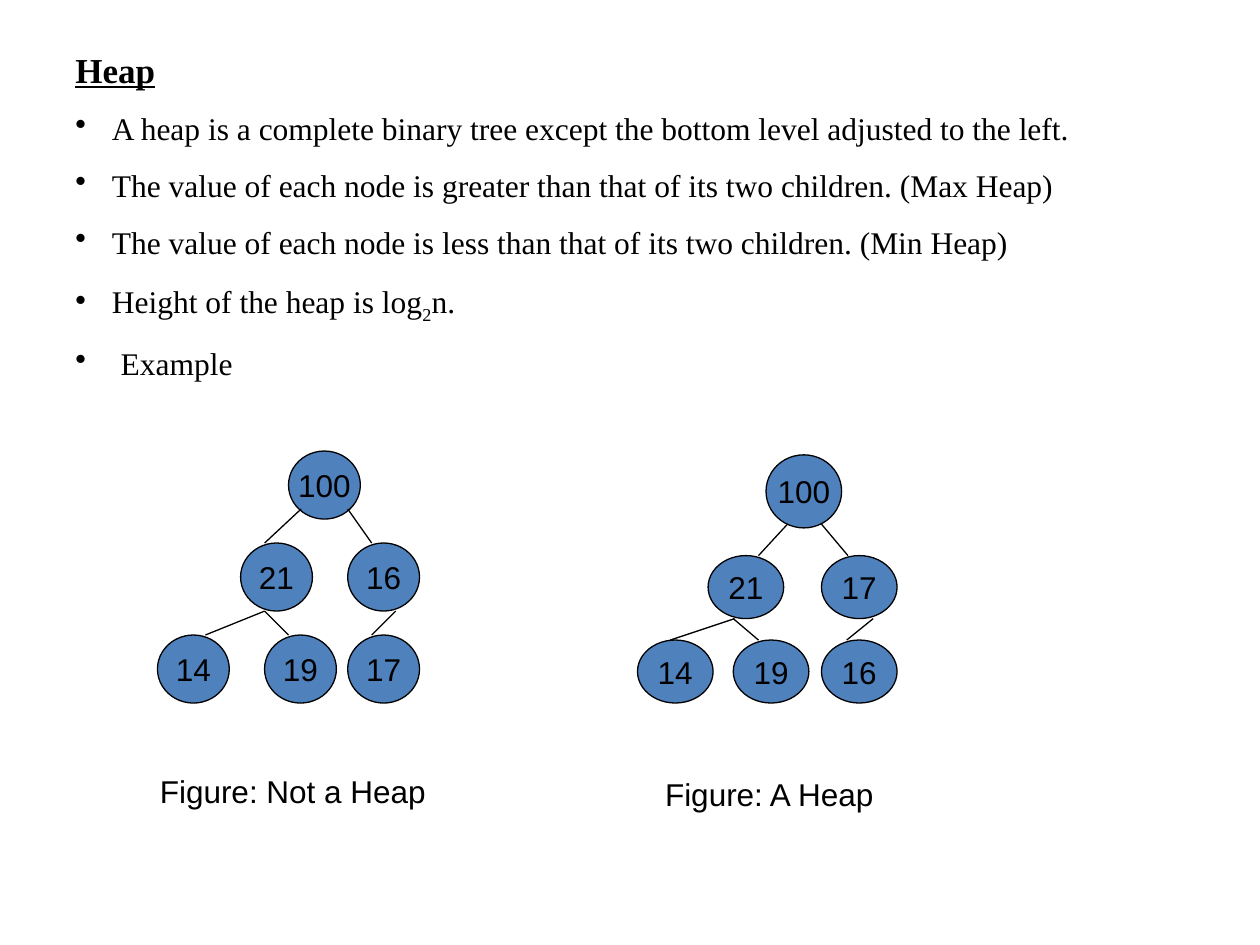
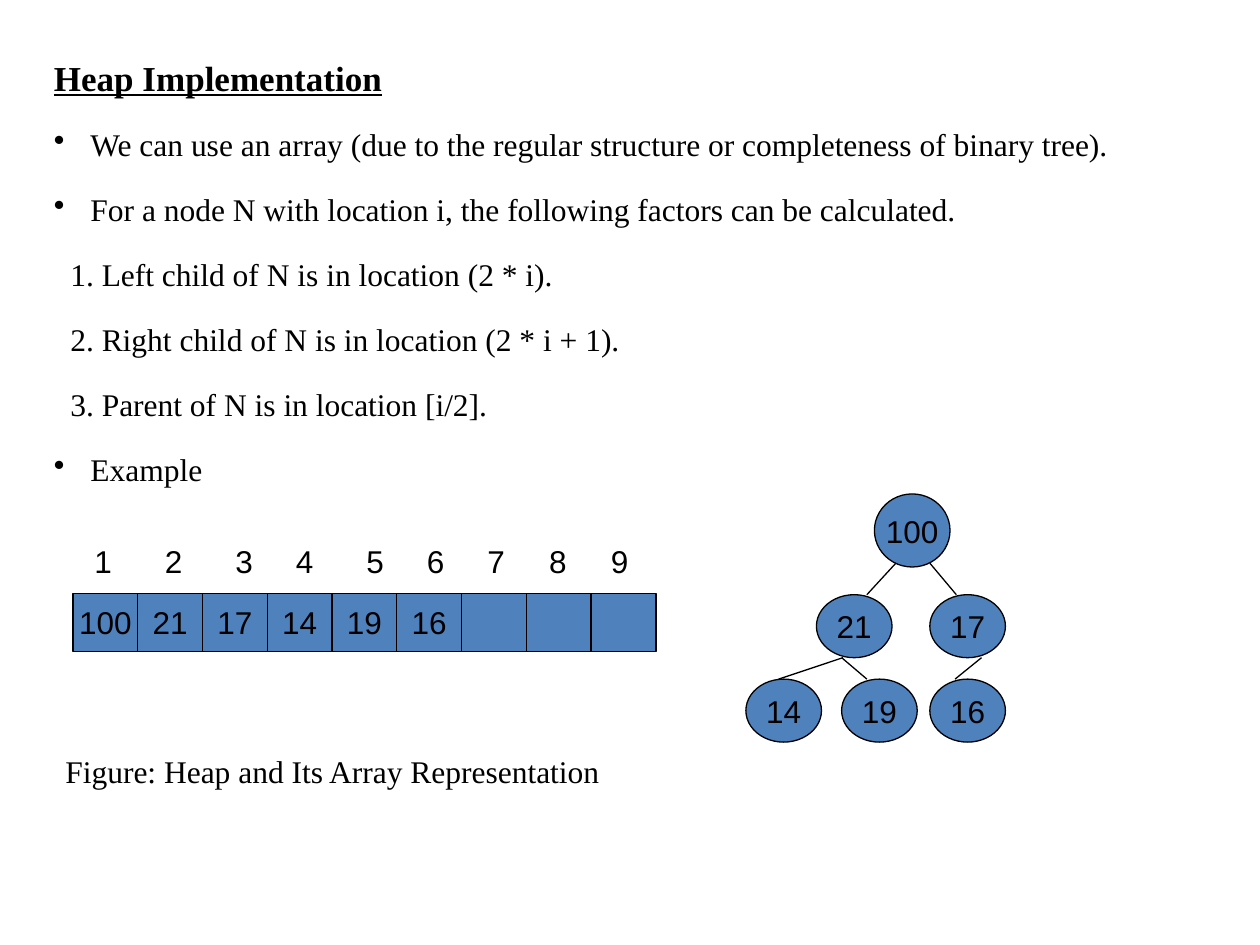
"""Build two slides on heaps: definition with examples, and array implementation."""
import itertools

import pptx
import pptx.dml.color
import pptx.enum.shapes
import pptx.enum.text
import pptx.oxml.ns
import pptx.util
from lxml import etree

BLACK = pptx.dml.color.RGBColor(0x00, 0x00, 0x00)
NODE_BLUE = pptx.dml.color.RGBColor(0x4F, 0x81, 0xBD)
SERIF, SANS = "Times New Roman", "Arial"
WIDTH, HEIGHT = 10, 7.5
OVAL = pptx.enum.shapes.MSO_SHAPE.OVAL
RECTANGLE = pptx.enum.shapes.MSO_SHAPE.RECTANGLE
CENTER = pptx.enum.text.PP_ALIGN.CENTER

HANGING = {"left": 0.29, "bullet": "•"}
HANGING_WIDE = {"left": 0.36, "bullet": "•"}
NUMBERED = {"left": 0.13}

DEFINITION = {
    "title": "Heap", "at": (0.5, 0.17, 9.25, 3.97), "line_spacing": 1.5, "before": 0,
    "points": [
        ("A heap is a complete binary tree except the bottom level adjusted to the left.", HANGING),
        ("The value of each node is greater than that of its two children. (Max Heap)", HANGING),
        ("The value of each node is less than that of its two children. (Min Heap)", HANGING),
        (("Height of the heap is log", "2", "n."), HANGING),
        ("Example", HANGING_WIDE),
    ],
}
IMPLEMENTATION = {
    "title": "Heap Implementation", "at": (0.33, 0.33, 9.67, 4.63), "line_spacing": 1.2, "before": 11.2,
    "points": [
        ("We can use an array (due to the regular structure or completeness of binary tree).", HANGING),
        ("For a node N with location i, the following factors can be calculated.", HANGING),
        ("1. Left child of N is in location (2 * i).", NUMBERED),
        ("2. Right child of N is in location (2 * i + 1).", NUMBERED),
        ("3. Parent of N is in location [i/2].", NUMBERED),
        ("Example", HANGING),
    ],
}

NOT_A_HEAP = [100, 21, 16, 14, 19, 17]
A_HEAP = [100, 21, 17, 14, 19, 16]
ARRAY_SLOTS = 9
ARRAY_AT, SLOT_WIDTH, SLOT_HEIGHT = (0.58, 4.71), 0.514, 0.46
INDEX_GAPS = [0.56, 0.56, 0.48, 0.56, 0.48, 0.48, 0.49, 0.49]

ROUND_TREE = {
    "width": 0.57, "heights": [0.54, 0.54, 0.54], "tops": [0, 0.73, 1.46],
    "lefts": [1.04, 0.66, 1.51, 0, 0.85, 1.51],
    "edges": [(1.14, 0.46, 0.85, 0.73), (1.51, 0.46, 1.70, 0.73), (0.85, 1.27, 1.04, 1.46),
              (1.89, 1.27, 1.70, 1.46), (0.85, 1.27, 0.38, 1.46)],
}
FLAT_TREE = {
    "width": 0.6, "heights": [0.58, 0.5, 0.5], "tops": [0, 0.8, 1.47],
    "lefts": [1.02, 0.56, 1.46, 0, 0.76, 1.46],
    "edges": [(1.19, 0.55, 0.96, 0.8), (1.46, 0.55, 1.67, 0.8), (0.76, 1.3, 0.96, 1.47),
              (1.87, 1.3, 1.66, 1.47), (0.77, 1.3, 0.26, 1.47)],
}

inches = pptx.util.Inches
deck = pptx.Presentation()
deck.slide_width, deck.slide_height = inches(WIDTH), inches(HEIGHT)


def write(paragraph, text, *, font=SANS, size=18, bold=False, underline=False, align=None,
          line_spacing=None, before=0, left=0, bullet=None, tabs=()):
    """Write text into a paragraph; every second piece of a tuple is a subscript."""
    properties = paragraph._p.get_or_add_pPr()
    if left:
        properties.set("marL", str(inches(left)))
        properties.set("indent", str(-inches(left) if bullet else 0))
    if bullet:
        etree.SubElement(properties, pptx.oxml.ns.qn("a:buChar"), char=bullet)
    if tabs:
        stops = etree.SubElement(properties, pptx.oxml.ns.qn("a:tabLst"))
        for stop in tabs:
            etree.SubElement(stops, pptx.oxml.ns.qn("a:tab"), pos=str(inches(stop)), algn="l")
    paragraph.alignment = align
    paragraph.line_spacing = line_spacing
    if before:
        paragraph.space_before = pptx.util.Pt(before)
    for place, piece in enumerate((text,) if isinstance(text, str) else text):
        run = paragraph.add_run()
        run.text = piece
        run.font.name, run.font.size = font, pptx.util.Pt(size)
        run.font.bold, run.font.underline = bold, underline
        run.font.color.rgb = BLACK
        if place % 2:
            run.font._element.set("baseline", "-25000")


def add_text_box(slide, at):
    frame = slide.shapes.add_textbox(*map(inches, at)).text_frame
    frame.word_wrap = True
    return frame


def add_caption(slide, at, text, **style):
    write(add_text_box(slide, at).paragraphs[0], text, **style)


def add_topic(topic):
    slide = deck.slides.add_slide(deck.slide_layouts[6])
    frame = add_text_box(slide, topic["at"])
    spacing = topic["line_spacing"]
    write(frame.paragraphs[0], topic["title"], font=SERIF, size=20, bold=True,
          underline=True, line_spacing=spacing)
    for text, style in topic["points"]:
        write(frame.add_paragraph(), text, font=SERIF, line_spacing=spacing,
              before=topic["before"], **style)
    return slide


def add_node(slide, kind, at, value):
    node = slide.shapes.add_shape(kind, *map(inches, at))
    node.shadow.inherit = False
    node.fill.solid()
    node.fill.fore_color.rgb = NODE_BLUE
    node.line.color.rgb = BLACK
    node.line.width = pptx.util.Pt(0.75)
    if value is not None:
        node.text_frame.word_wrap = False
        node.text_frame.vertical_anchor = pptx.enum.text.MSO_ANCHOR.MIDDLE
        write(node.text_frame.paragraphs[0], str(value), align=CENTER)


def add_tree(slide, x, y, tree, values):
    for place, (left, value) in enumerate(zip(tree["lefts"], values)):
        level = (place + 1).bit_length() - 1
        at = (x + left, y + tree["tops"][level], tree["width"], tree["heights"][level])
        add_node(slide, OVAL, at, value)
    for x1, y1, x2, y2 in tree["edges"]:
        edge = slide.shapes.add_connector(
            pptx.enum.shapes.MSO_CONNECTOR.STRAIGHT,
            *map(inches, (x + x1, y + y1, x + x2, y + y2)))
        edge.line.color.rgb = BLACK
        edge.line.width = pptx.util.Pt(0.75)
        etree.SubElement(edge._element.spPr, pptx.oxml.ns.qn("a:effectLst"))


def add_array(slide, values):
    left, top = ARRAY_AT
    indexes = "\t".join(str(number + 1) for number in range(ARRAY_SLOTS))
    add_caption(slide, (left + 0.07, top - 0.46, 5.09, 0.4), indexes,
                tabs=list(itertools.accumulate(INDEX_GAPS)))
    for slot in range(ARRAY_SLOTS):
        value = values[slot] if slot < len(values) else None
        add_node(slide, RECTANGLE, (left + slot * SLOT_WIDTH, top, SLOT_WIDTH, SLOT_HEIGHT), value)


def main():
    definition = add_topic(DEFINITION)
    add_tree(definition, 1.25, 3.58, ROUND_TREE, NOT_A_HEAP)
    add_tree(definition, 5.06, 3.61, FLAT_TREE, A_HEAP)
    add_caption(definition, (1.17, 6.08, 2.75, 0.4), "Figure: Not a Heap")
    add_caption(definition, (5.18, 6.1, 2.75, 0.4), "Figure: A Heap")

    implementation = add_topic(IMPLEMENTATION)
    add_array(implementation, A_HEAP)
    add_tree(implementation, 5.92, 3.92, FLAT_TREE, A_HEAP)
    add_caption(implementation, (0.42, 5.92, 4.92, 0.4),
                "Figure: Heap and Its Array Representation", font=SERIF)
    deck.save("out.pptx")


if __name__ == "__main__":
    main()
